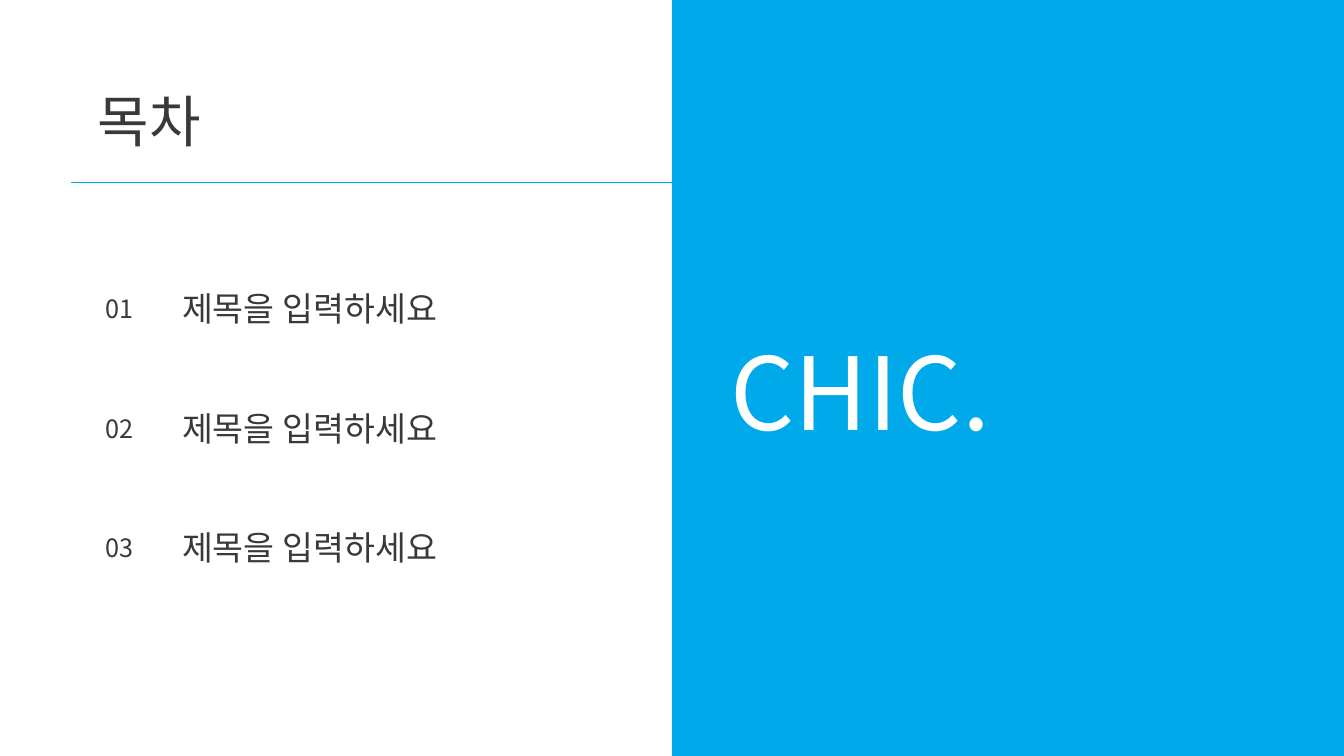
import dataclasses

import pptx
import pptx.dml.color
import pptx.enum.shapes
import pptx.enum.text
import pptx.oxml.ns
import pptx.util
from lxml import etree

Cm = pptx.util.Cm
Pt = pptx.util.Pt


@dataclasses.dataclass(frozen=True)
class Theme:
    font: str = "Noto Sans CJK KR"
    blue: str = "00A9EA"
    dark: str = "3A3838"
    white: str = "FFFFFF"
    title: int = 40
    brand: int = 72
    item: int = 24
    number: int = 18
    rule: float = 0.5


THEME = Theme()
WIDTH, HEIGHT = 33.87, 19.05
HALF = WIDTH / 2


def rgb(code):
    return pptx.dml.color.RGBColor.from_string(code)


def write(shape, text, size, color):
    """Fill a shape with one left-aligned line of text."""
    frame = shape.text_frame
    frame.text = text
    frame.word_wrap = False
    frame.auto_size = pptx.enum.text.MSO_AUTO_SIZE.SHAPE_TO_FIT_TEXT
    frame.vertical_anchor = pptx.enum.text.MSO_ANCHOR.TOP
    para = frame.paragraphs[0]
    para.alignment = pptx.enum.text.PP_ALIGN.LEFT
    para.line_spacing = 1.0
    para.space_before = Pt(0)
    para.font.name = THEME.font
    para.font.size = Pt(size)
    para.font.color.rgb = rgb(color)
    # East Asian letters take their own font setting
    props = para.font._element
    face = etree.SubElement(props, pptx.oxml.ns.qn("a:ea"))
    face.set("typeface", THEME.font)


def add_title(slide, text):
    title = slide.shapes.title
    title.left, title.top = Cm(2.21), Cm(2.06)
    title.width, title.height = Cm(3.25), Cm(1.96)
    write(title, text, THEME.title, THEME.dark)


def add_text(slide, text, left, top, width, height, size, color):
    box = slide.shapes.add_textbox(Cm(left), Cm(top), Cm(width), Cm(height))
    write(box, text, size, color)


def add_panel(slide):
    panel = slide.shapes.add_shape(
        pptx.enum.shapes.MSO_SHAPE.RECTANGLE,
        Cm(HALF), Cm(0), Cm(HALF), Cm(HEIGHT))
    panel.shadow.inherit = False
    panel.fill.solid()
    panel.fill.fore_color.rgb = rgb(THEME.blue)
    panel.line.fill.background()


def add_rule(slide, left, right, top):
    rule = slide.shapes.add_connector(
        pptx.enum.shapes.MSO_CONNECTOR.STRAIGHT,
        Cm(left), Cm(top), Cm(right), Cm(top))
    rule.line.color.rgb = rgb(THEME.blue)
    rule.line.width = Pt(THEME.rule)
    etree.SubElement(rule._element.spPr, pptx.oxml.ns.qn("a:effectLst"))


def add_items(slide, items, top, step):
    for index, item in enumerate(items):
        row = top + index * step
        add_text(slide, f"{index + 1:02}", 2.42, row + 0.13, 1.36, 1.02,
                 THEME.number, THEME.dark)
        add_text(slide, item, 4.34, row, 7.34, 1.27,
                 THEME.item, THEME.dark)


def main():
    deck = pptx.Presentation()
    deck.slide_width, deck.slide_height = Cm(WIDTH), Cm(HEIGHT)
    slide = deck.slides.add_slide(deck.slide_layouts[5])

    # Right half
    add_panel(slide)
    add_text(slide, "CHIC.", 18.16, 8.18, 9.04, 3.33,
             THEME.brand, THEME.white)

    # Heading
    add_title(slide, "목차")
    add_rule(slide, 1.8, HALF, 4.6)

    # Contents
    add_items(slide, ["제목을 입력하세요"] * 3, 7.14, 3.01)

    deck.save("out.pptx")


if __name__ == "__main__":
    main()
